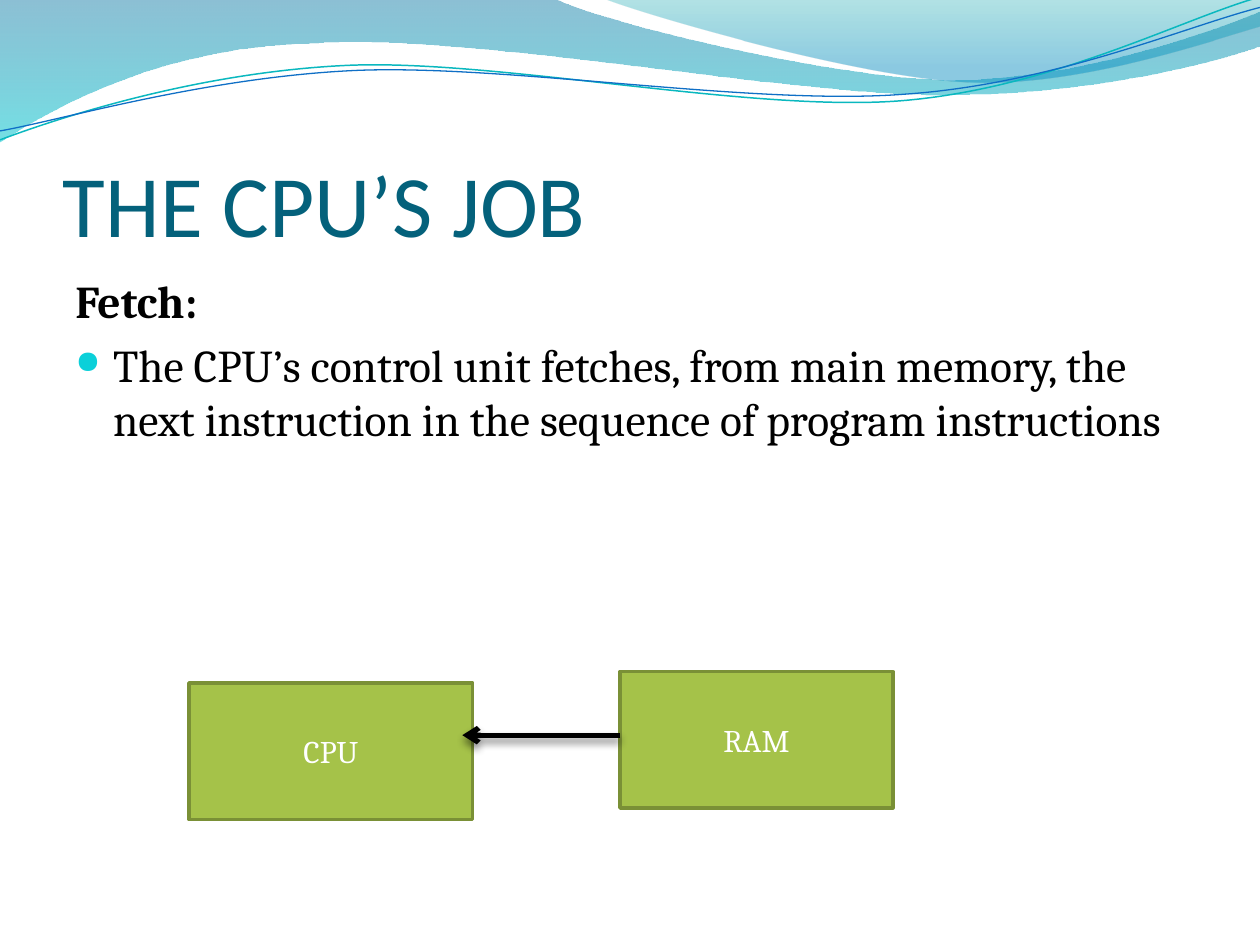
"""Build the slide on the fetch step of the CPU's job."""
from lxml.etree import SubElement as Sub
from pptx import Presentation
from pptx.dml.color import RGBColor
from pptx.enum.shapes import MSO_CONNECTOR as LINK, MSO_SHAPE as SHAPE
from pptx.enum.text import MSO_ANCHOR as ANCHOR, PP_ALIGN as ALIGN
from pptx.oxml.ns import qn
from pptx.util import Cm, Pt

BLACK = RGBColor(0x00, 0x00, 0x00)
WHITE = RGBColor(0xFF, 0xFF, 0xFF)
TITLE = RGBColor(0x04, 0x61, 0x7B)
GREEN = RGBColor(0xA5, 0xC2, 0x49)
OLIVE = RGBColor(0x7A, 0x90, 0x36)
TEAL = RGBColor(0x0A, 0xB8, 0xBF)
BLUE = RGBColor(0x0F, 0x6F, 0xC6)
DEEP = RGBColor(0x00, 0x74, 0xA1)
AQUA = RGBColor(0x00, 0xC6, 0xCF)
SEA = RGBColor(0x00, 0xA1, 0xA9)
SKY = RGBColor(0x00, 0x8B, 0xBF)


def trace(start, parts, close):
    pen = slide.shapes.build_freeform(Cm(start[0]), Cm(start[1]))
    ends = [(Cm(part[-2]), Cm(part[-1])) for part in parts]
    pen.add_line_segments(ends, close=close)
    wave = pen.convert_to_shape()
    wave.shadow.inherit = False
    sides = list(wave.element.spPr.iter(qn("a:lnTo")))
    for side, part in zip(sides, parts):
        if len(part) == 6:
            side.tag = qn("a:cubicBezTo")
            side.clear()
            for x, y in zip(part[::2], part[1::2]):
                Sub(side, qn("a:pt"), x=str(Cm(x) - wave.left),
                    y=str(Cm(y) - wave.top))
    return wave


def write(para, text, face, size, color, bold=False):
    run = para.add_run()
    run.text = text
    run.font.name = face
    run.font.size = Pt(size)
    run.font.color.rgb = color
    run.font.bold = bold


deck = Presentation()
deck.slide_width, deck.slide_height = Cm(25.4), Cm(19.05)
slide = deck.slides.add_slide(deck.slide_layouts[6])

bands = [
    ((0, 0), [(11.18, -0.03),
              (12.09, 0.43, 16.87, 1.6, 19.25, 1.6),
              (21.67, 1.6, 24.33, 0.66, 25.4, 0.23),
              (25.43, 0.91),
              (24.97, 1.12, 22.1, 1.93, 18.95, 1.91),
              (15.8, 1.91, 9.7, 0.71, 6.53, 0.86),
              (3.28, 0.91, 1.17, 2.11, -0.03, 2.87),
              (0, 0)],
     [(0, DEEP, 45), (1, AQUA, 55)]),
    ((12.17, -0.03), [(12.93, 0.28, 17.32, 1.57, 19.53, 1.65),
                      (21.74, 1.75, 24.41, 0.81, 25.4, 0.53),
                      (25.4, 0),
                      (12.17, -0.03)],
     [(0, SEA, 30), (0.8, SKY, 45)]),
]
for start, parts, stops in bands:
    band = trace(start, parts, True)
    band.line.fill.background()
    band.fill.gradient()
    band.fill.gradient_angle = 270
    for stop, (place, color, _) in zip(band.fill.gradient_stops, stops):
        stop.position = place
        stop.color.rgb = color
    tints = band.element.spPr.iter(qn("a:srgbClr"))
    for tint, (_, _, alpha) in zip(tints, stops):
        Sub(tint, qn("a:alpha"), val=str(alpha * 1000))

curves = [
    ((-0.05, 2.22), [(1.19, 1.82, 4.02, 1.04, 7.05, 1.05),
                     (10.05, 1.07, 15.02, 2.37, 18.08, 2.29),
                     (21.13, 2.2, 23.86, 0.91, 25.41, 0.55)], TEAL, 0.85),
    ((-0.04, 2.04), [(1.16, 1.89, 4.17, 1.15, 7.2, 1.16),
                     (10.25, 1.18, 15.13, 2.25, 18.19, 2.16),
                     (21.22, 2.1, 23.93, 1.06, 25.45, 0.75)], BLUE, 0.75),
]
for start, parts, color, width in curves:
    curve = trace(start, parts, False)
    curve.rotation = 357.3
    curve.fill.background()
    curve.line.color.rgb = color
    curve.line.width = Pt(width)

title = slide.shapes.add_textbox(Cm(1.27), Cm(1.96), Cm(22.86), Cm(3.18))
frame = title.text_frame
frame.word_wrap = True
frame.vertical_anchor = ANCHOR.BOTTOM
frame.margin_left = frame.margin_right = frame.margin_bottom = 0
write(frame.paragraphs[0], "THE CPU’S JOB", "Calibri", 50, TITLE)

body = slide.shapes.add_textbox(Cm(1.27), Cm(5.38), Cm(22.86), Cm(12.19))
frame = body.text_frame
frame.word_wrap = True
head, item = frame.paragraphs[0], frame.add_paragraph()
for para in (head, item):
    para.space_before = Pt(5.2)
    props = para._p.get_or_add_pPr()
    props.set("marL", str(Cm(0.76)))
    props.set("indent", str(Cm(-0.76)))
write(head, "Fetch:", "Cambria", 26, BLACK, True)
write(item, "The CPU’s control unit fetches, from main memory, the next "
      "instruction in the sequence of program instructions",
      "Cambria", 26, BLACK)
Sub(Sub(props, qn("a:buClr")), qn("a:srgbClr"), val="0BD0D9")
Sub(props, qn("a:buSzPct"), val="70000")
Sub(props, qn("a:buChar"), char="●")

for name, left, top, width in [("CPU", 3.81, 13.77, 5.72),
                               ("RAM", 12.5, 13.54, 5.5)]:
    box = slide.shapes.add_shape(SHAPE.RECTANGLE, Cm(left), Cm(top),
                                 Cm(width), Cm(2.75))
    box.shadow.inherit = False
    box.fill.solid()
    box.fill.fore_color.rgb = GREEN
    box.line.color.rgb = OLIVE
    box.line.width = Pt(2)
    box.text_frame.word_wrap = True
    box.text_frame.vertical_anchor = ANCHOR.MIDDLE
    para = box.text_frame.paragraphs[0]
    para.alignment = ALIGN.CENTER
    write(para, name, "Cambria", 18, WHITE)

arrow = slide.shapes.add_connector(LINK.STRAIGHT, Cm(12.5), Cm(14.82),
                                   Cm(9.32), Cm(14.82))
arrow.line.color.rgb = BLACK
arrow.line.width = Pt(3)
Sub(arrow.line._get_or_add_ln(), qn("a:tailEnd"), type="arrow")
glow = Sub(Sub(arrow.element.spPr, qn("a:effectLst")), qn("a:outerShdw"),
           blurRad=str(Pt(4.5)), dist=str(Pt(3)), dir="5400000",
           rotWithShape="0")
Sub(Sub(glow, qn("a:srgbClr"), val="000000"), qn("a:alpha"), val="48000")

deck.save("out.pptx")
